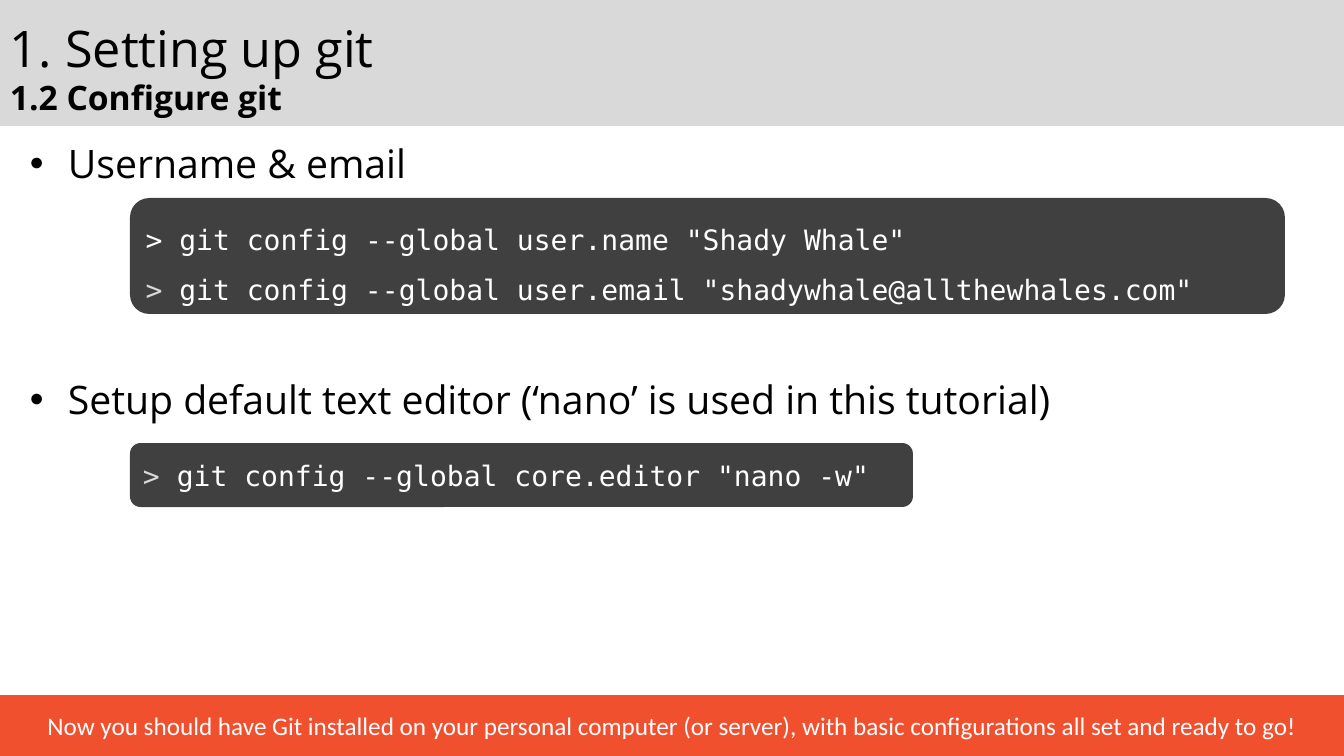
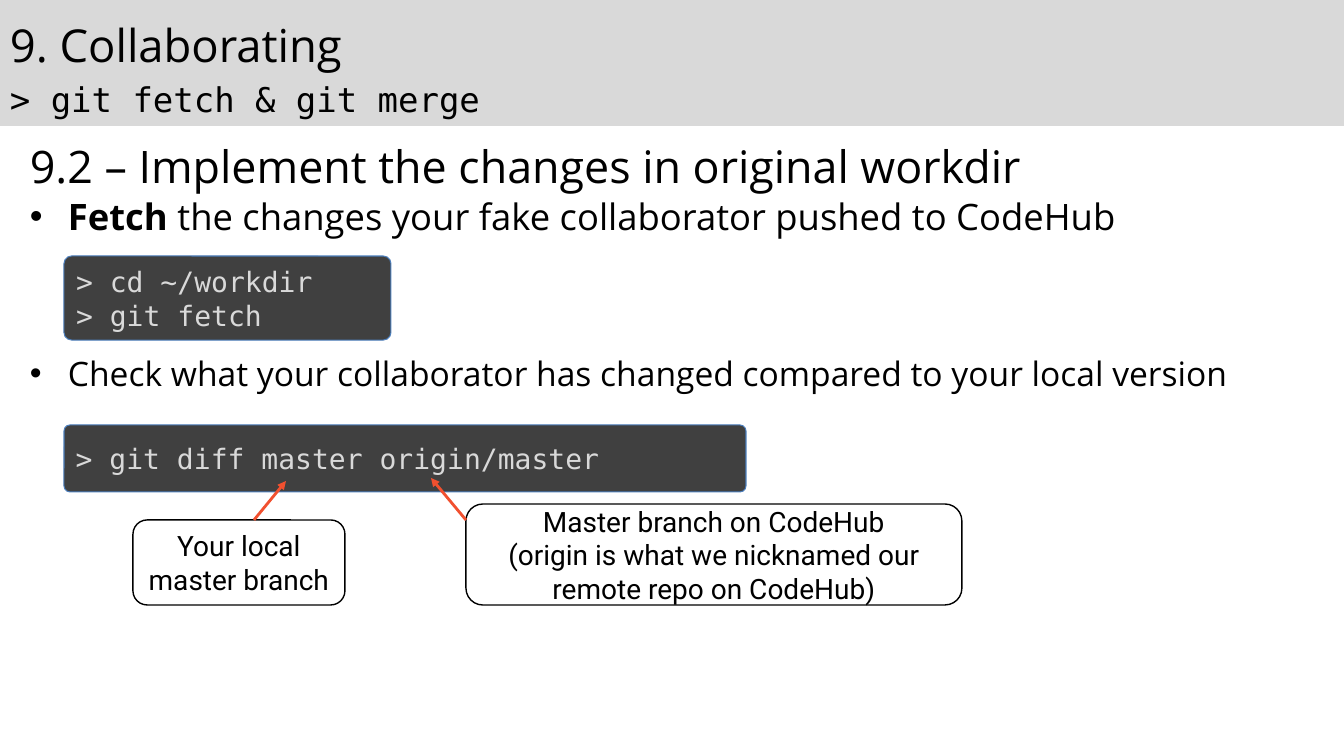
from dataclasses import dataclass

from lxml import etree
from pptx import Presentation
from pptx import util as u
from pptx.dml.color import RGBColor
from pptx.enum import shapes, text
from pptx.oxml.ns import qn

PX_PER_INCH = 100.8
SLIDE_W, SLIDE_H = 1344, 756
COLOURS = {
    "band": "D9D9D9",
    "ink": "000000",
    "terminal": "404040",
    "terminal_edge": "4B7EBC",
    "prompt": "D9D9D9",
    "command": "FFFFFF",
    "accent": "F1502F",
}
SANS, MONO, NOTE, FOOTER = "Open Sans", "DejaVu Sans Mono", "Roboto", "Calibri"
CODE_SIZE = 20


@dataclass(frozen=True)
class Span:
    words: str
    colour: str = ""
    bold: bool = False


@dataclass(frozen=True)
class Line:
    spans: tuple[Span, ...]
    size: float
    font: str = SANS
    colour: str = "ink"
    bold: bool = False
    bullet: bool = False
    centred: bool = False
    before: float = 0
    spacing: float | u.Length | None = None


@dataclass(frozen=True)
class Box:
    left: int
    top: int
    width: int
    height: int
    lines: tuple[Line, ...]
    fill: str = ""
    edge: str = ""
    edge_width: float = 0.75
    rounding: float | None = 0.167


@dataclass(frozen=True)
class Arrow:
    start: tuple[int, int]
    end: tuple[int, int]


def px(length: int) -> u.Length:
    return u.Inches(length / PX_PER_INCH)


def rgb(name: str) -> RGBColor:
    return RGBColor.from_string(COLOURS[name])


def line(words: str, size: float, **style) -> Line:
    return Line((Span(words),), size, **style)


def code(*spans: Span, spacing: float | None = None) -> Line:
    return Line(spans, CODE_SIZE, MONO, "prompt", spacing=spacing)


def command(words: str, spacing: float | None = None) -> Line:
    return code(Span("> "), Span(words, "command"), spacing=spacing)


def note(words: str) -> Line:
    return line(words, 20, font=NOTE, centred=True)


def write_lines(frame, lines: tuple[Line, ...]) -> None:
    frame.word_wrap = True
    for index, entry in enumerate(lines):
        paragraph = frame.paragraphs[0] if index == 0 else frame.add_paragraph()
        if entry.bullet:
            properties = paragraph._p.get_or_add_pPr()
            properties.set("marL", str(px(38)))
            properties.set("indent", str(-px(38)))
            etree.SubElement(properties, qn("a:buFont"), typeface="Arial")
            etree.SubElement(properties, qn("a:buChar"), char="•")
        paragraph.alignment = text.PP_ALIGN.CENTER if entry.centred else text.PP_ALIGN.LEFT
        if entry.before:
            paragraph.space_before = u.Pt(entry.before)
        if entry.spacing:
            paragraph.line_spacing = entry.spacing
        paragraph.font.name = entry.font
        paragraph.font.size = u.Pt(entry.size)
        paragraph.font.bold = entry.bold
        paragraph.font.color.rgb = rgb(entry.colour)
        for span in entry.spans:
            run = paragraph.add_run()
            run.text = span.words
            if span.colour:
                run.font.color.rgb = rgb(span.colour)
            if span.bold:
                run.font.bold = True


def draw_box(slide, box: Box):
    kind = shapes.MSO_SHAPE.RECTANGLE
    if box.rounding is not None:
        kind = shapes.MSO_SHAPE.ROUNDED_RECTANGLE
    shape = slide.shapes.add_shape(
        kind, px(box.left), px(box.top), px(box.width), px(box.height)
    )
    shape.shadow.inherit = False
    if box.rounding is not None:
        shape.adjustments[0] = box.rounding
    if box.fill:
        shape.fill.solid()
        shape.fill.fore_color.rgb = rgb(box.fill)
    else:
        shape.fill.background()
    if box.edge:
        shape.line.color.rgb = rgb(box.edge)
        shape.line.width = u.Pt(box.edge_width)
    else:
        shape.line.fill.background()
    shape.text_frame.vertical_anchor = text.MSO_ANCHOR.MIDDLE
    write_lines(shape.text_frame, box.lines)
    return shape


def draw_title(slide, heading: Line, subheading: Line) -> None:
    band = Box(0, 0, SLIDE_W, 126, (heading, subheading), "band", rounding=None)
    draw_box(slide, band).text_frame.vertical_anchor = text.MSO_ANCHOR.TOP


def draw_body(slide, *lines: Line) -> None:
    body = slide.shapes.add_textbox(px(20), px(134), px(1303), px(537))
    write_lines(body.text_frame, lines)


def draw_footer(slide, words: str) -> None:
    message = line(words, 18, font=FOOTER, colour="command", centred=True)
    draw_box(slide, Box(0, 695, SLIDE_W, 61, (message,), "accent", rounding=None))


def draw_arrow(slide, arrow: Arrow) -> None:
    connector = slide.shapes.add_connector(
        shapes.MSO_CONNECTOR.STRAIGHT, *map(px, arrow.start + arrow.end)
    )
    connector.line.color.rgb = rgb("accent")
    connector.line.width = u.Pt(2)
    etree.SubElement(connector.line._get_or_add_ln(), qn("a:tailEnd"), type="triangle")
    etree.SubElement(connector._element.spPr, qn("a:effectLst"))


def configure_slide(slide) -> None:
    draw_title(
        slide,
        line("1. Setting up git", 36, spacing=u.Pt(52)),
        line("1.2 Configure git", 24, bold=True, spacing=u.Pt(28)),
    )
    draw_body(
        slide,
        line("Username & email", 28, bullet=True),
        line(
            "Setup default text editor (‘nano’ is used in this tutorial)",
            28, bullet=True, before=135,
        ),
    )
    identity = (
        code(Span('> git config --global user.name "Shady Whale"', "command"), spacing=1.5),
        command('git config --global user.email "shadywhale@allthewhales.com"', 1.5),
    )
    editor = (command('git config --global core.editor "nano -w"'),)
    draw_box(slide, Box(130, 198, 1155, 116, identity, "terminal"))
    draw_box(slide, Box(130, 443, 783, 64, editor, "terminal"))
    draw_footer(
        slide,
        "Now you should have Git installed on your personal computer (or server), "
        "with basic configurations all set and ready to go!",
    )


def collaborate_slide(slide) -> None:
    draw_title(
        slide,
        line("9. Collaborating", 32.4, spacing=u.Pt(47.4)),
        line("> git fetch & git merge", 24.3, font=MONO, spacing=u.Pt(34)),
    )
    fetch = (
        Span("Fetch", bold=True),
        Span(" the changes your fake collaborator pushed to CodeHub"),
    )
    draw_body(
        slide,
        line("9.2 – Implement the changes in original workdir", 32),
        Line(fetch, 26, bullet=True, before=1),
        line(
            "Check what your collaborator has changed compared to your local version",
            24, bullet=True, before=82,
        ),
    )
    fetch_code = (code(Span("> cd ~/workdir")), code(Span("> git fetch")))
    diff_code = (code(Span("> git diff master origin/master")),)
    local_note = (note("Your local master branch"),)
    remote_note = (
        note("Master branch on CodeHub"),
        note("(origin is what we nicknamed our remote repo on CodeHub)"),
    )
    for box in (
        Box(64, 256, 327, 84, fetch_code, "terminal", "terminal_edge", rounding=0.09),
        Box(64, 425, 682, 67, diff_code, "terminal", "terminal_edge", rounding=0.09),
        Box(133, 520, 212, 85, local_note, edge="ink", edge_width=1),
        Box(466, 504, 496, 101, remote_note, edge="ink", edge_width=1),
    ):
        draw_box(slide, box)
    for arrow in (Arrow((254, 520), (286, 481)), Arrow((466, 520), (431, 478))):
        draw_arrow(slide, arrow)


def main() -> None:
    deck = Presentation()
    deck.slide_width, deck.slide_height = px(SLIDE_W), px(SLIDE_H)
    for build in (configure_slide, collaborate_slide):
        build(deck.slides.add_slide(deck.slide_layouts[6]))
    deck.save("out.pptx")


if __name__ == "__main__":
    main()
